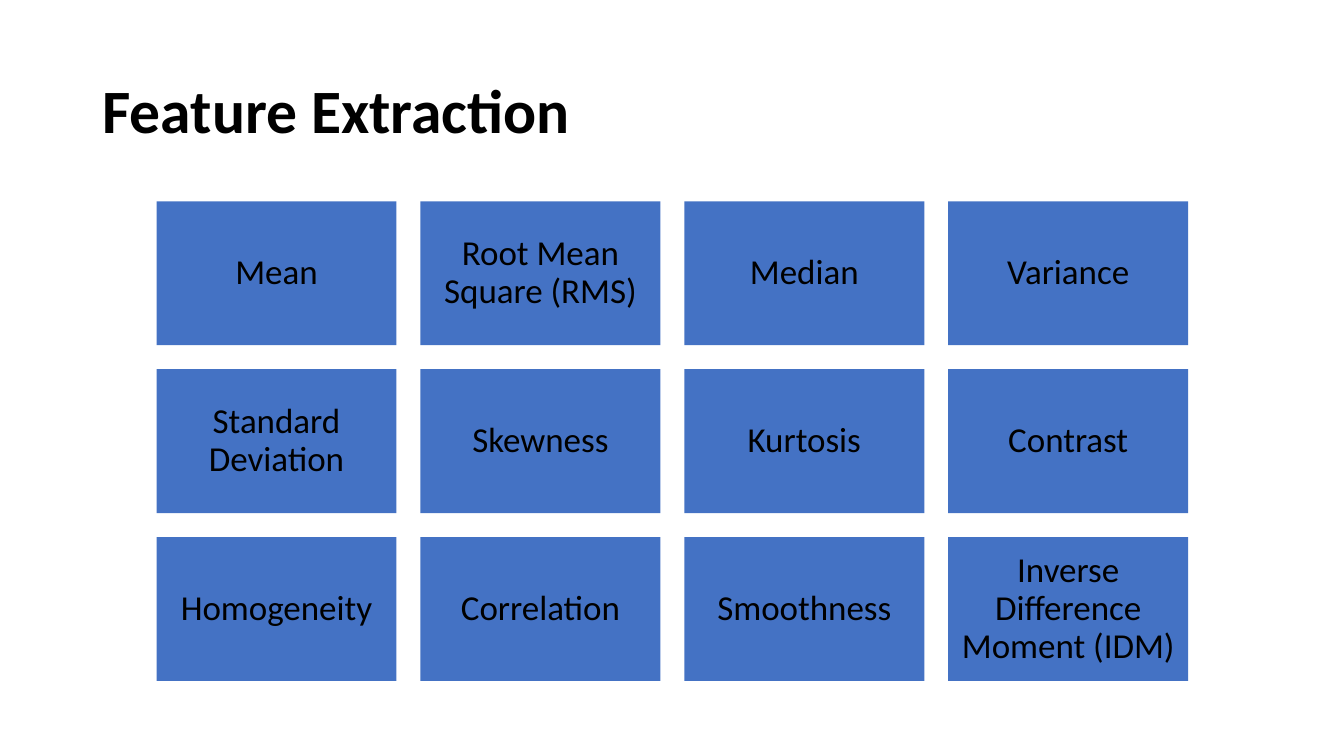
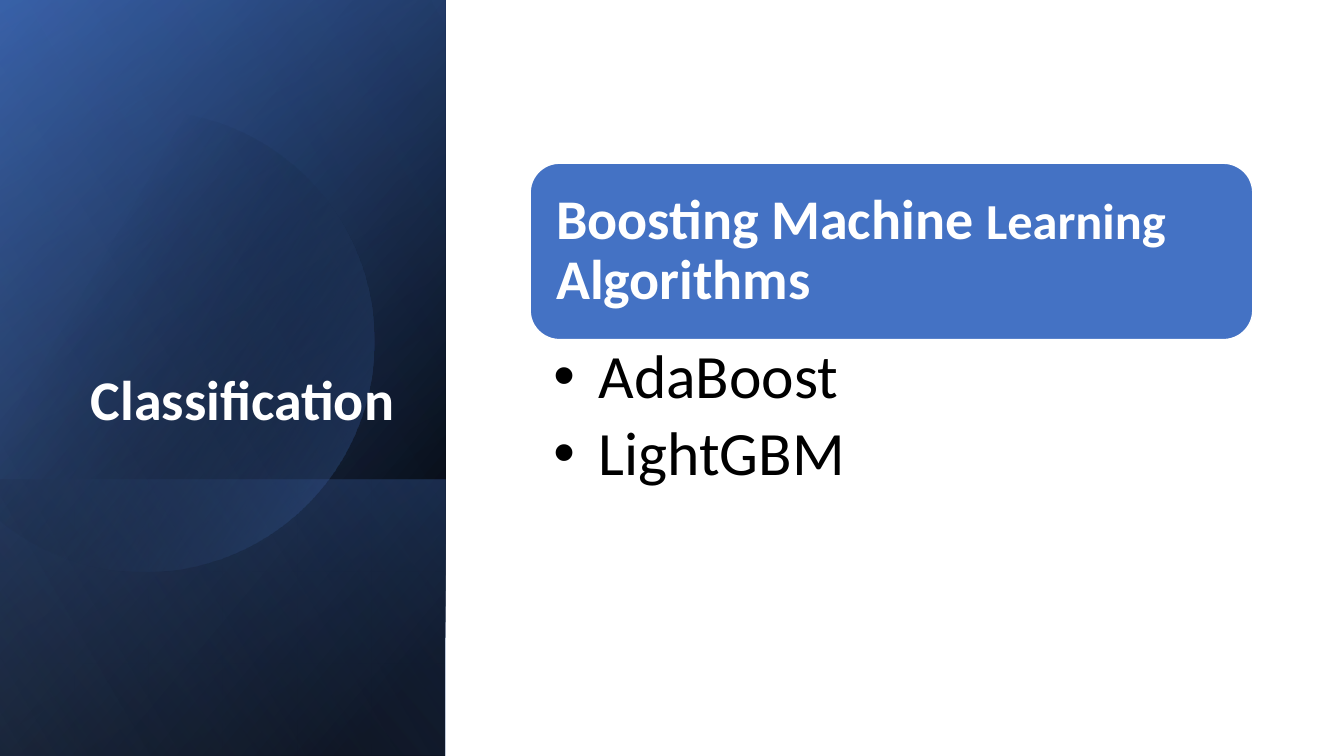
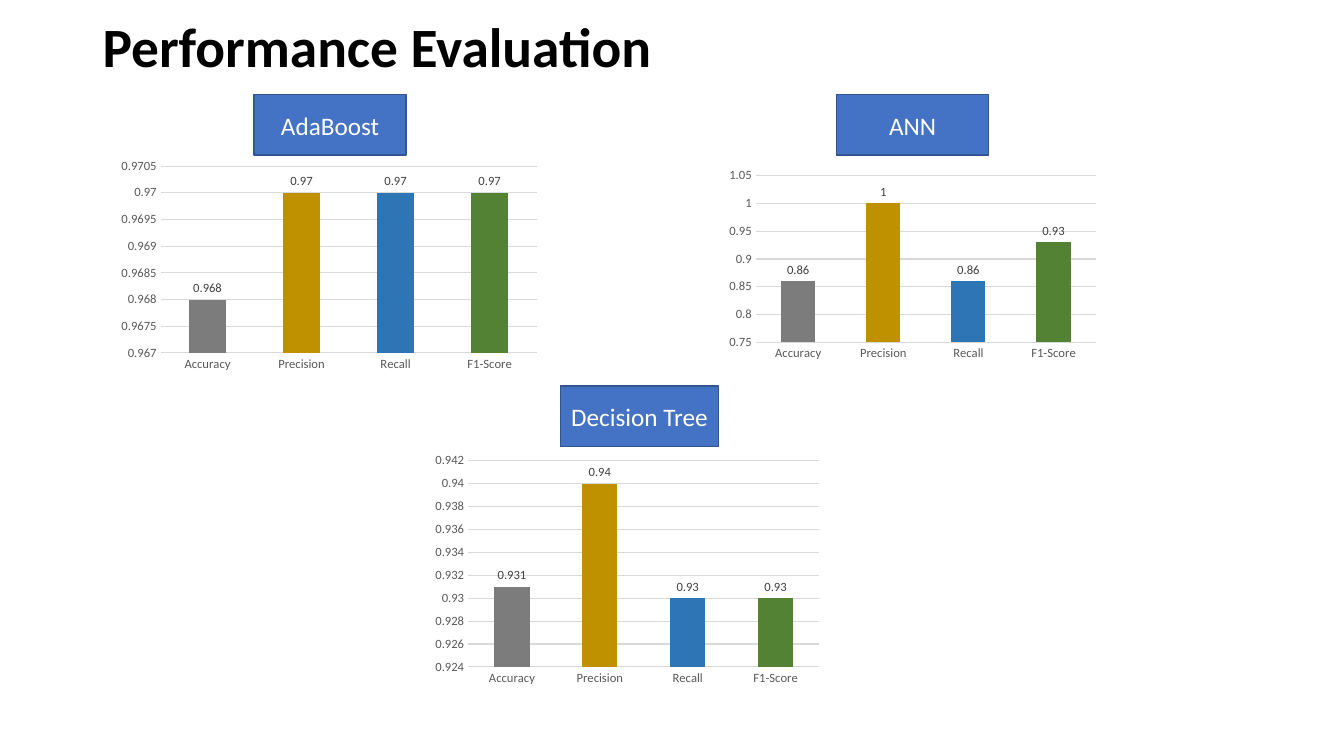
"""Build three slides on feature extraction, classification and evaluation."""
import math
from dataclasses import dataclass

from lxml import etree
from pptx import Presentation
from pptx.chart import data as chart_data
from pptx.dml import color
from pptx.enum import chart as charts, shapes, text
from pptx.oxml import ns
from pptx.util import Pt


@dataclass(frozen=True)
class Theme:
    font: str = "Calibri"
    black: str = "000000"
    white: str = "FFFFFF"
    blue: str = "4472C4"
    deep_blue: str = "2F5597"
    pale_blue: str = "8FAADC"
    outline: str = "325491"
    axis: str = "595959"
    grid: str = "D9D9D9"
    value: str = "404040"
    bars: tuple = ("7C7C7C", "BF9000", "2E75B6", "548235")
    title: float = 44
    compact_title: float = 39.6
    heading: float = 40
    small_heading: float = 36
    bullet: float = 44
    tile: float = 25
    label: float = 18
    chart: float = 10
    axis_size: float = 9


THEME = Theme()
FEATURES = (
    "Mean", "Root Mean Square (RMS)", "Median", "Variance",
    "Standard Deviation", "Skewness", "Kurtosis", "Contrast",
    "Homogeneity", "Correlation", "Smoothness", "Inverse Difference Moment (IDM)",
)
METRICS = ("Accuracy", "Precision", "Recall", "F1-Score")
MODELS = (
    ("AdaBoost", (181.4, 67.7, 108.7, 43.2), (80.6, 110.2, 308.9, 158.4),
     (0.968, 0.97, 0.97, 0.97), (0.967, 0.9705, 0.0005)),
    ("ANN", (597.6, 67.7, 108.7, 43.2), (515.5, 117.4, 272.9, 143.3),
     (0.86, 1, 0.86, 0.93), (0.75, 1.05, 0.05)),
    ("Decision Tree", (400.3, 275.8, 113, 43.2), (305.3, 320.4, 285.8, 172.8),
     (0.931, 0.94, 0.93, 0.93), (0.924, 0.942, 0.002)),
)


def rgb(value):
    return color.RGBColor.from_string(value)


def style_font(font, size, shade, bold=False):
    font.name, font.size, font.bold = THEME.font, Pt(size), bold
    font.color.rgb = rgb(shade)


def set_frame(box, anchor, margins=(7.2, 3.6)):
    frame = box.text_frame
    frame.word_wrap = True
    frame.vertical_anchor = anchor
    frame.margin_left = frame.margin_right = Pt(margins[0])
    frame.margin_top = frame.margin_bottom = Pt(margins[1])
    return frame


def write(para, spans, shade, align=text.PP_ALIGN.LEFT, bold=False, spacing=0.9):
    para.alignment, para.line_spacing = align, spacing
    for words, size in spans:
        span = para.add_run()
        span.text = words
        style_font(span.font, size, shade, bold)


def add_title(page, words, area, size, shade=THEME.black,
              anchor=text.MSO_ANCHOR.MIDDLE, align=text.PP_ALIGN.LEFT):
    box = page.shapes.add_textbox(*map(Pt, area))
    write(set_frame(box, anchor).paragraphs[0], [(words, size)], shade, align, bold=True)


def add_tile(page, area, fill=THEME.blue, line=None, kind=shapes.MSO_SHAPE.RECTANGLE):
    tile = page.shapes.add_shape(kind, *map(Pt, area))
    tile.shadow.inherit = False
    tile.fill.solid()
    tile.fill.fore_color.rgb = rgb(fill)
    if line:
        tile.line.color.rgb = rgb(line)
        tile.line.width = Pt(1)
    else:
        tile.line.fill.background()
    return tile


def fill_gradient(shape, stops, angle):
    """Fill with (position, colour, opacity) stops; the angle runs clockwise."""
    shape.fill.gradient()
    shape.fill.gradient_angle = 360 - angle
    for stop, (position, shade, _) in zip(shape.fill.gradient_stops, stops):
        stop.position = position / 100
        stop.color.rgb = rgb(shade)
    nodes = shape._element.spPr.iter(ns.qn("a:srgbClr"))
    for node, (_, _, opacity) in zip(nodes, stops):
        etree.SubElement(node, ns.qn("a:alpha"), val=str(opacity * 1000))


def add_gradient_panel(page, area, stops, angle):
    fill_gradient(add_tile(page, area), stops, angle)


def add_cut_disc(page, center_x, center_y, radius, stops, angle):
    """Draw a disc cut off by the left slide edge."""
    limit = math.acos(-center_x / radius)
    steps = 120
    turns = [limit * (2 * step / steps - 1) for step in range(steps + 1)]
    points = [(Pt(center_x + radius * math.cos(turn)),
               Pt(center_y + radius * math.sin(turn))) for turn in turns]
    builder = page.shapes.build_freeform(*points[0])
    builder.add_line_segments(points[1:], close=True)
    disc = builder.convert_to_shape()
    disc.shadow.inherit = False
    disc.line.fill.background()
    fill_gradient(disc, stops, angle)


def add_bullets(page, area, items):
    box = page.shapes.add_textbox(*map(Pt, area))
    frame = set_frame(box, text.MSO_ANCHOR.TOP, (16.6, 4.3))
    for index, item in enumerate(items):
        para = frame.add_paragraph() if index else frame.paragraphs[0]
        props = para._p.get_or_add_pPr()
        props.set("marL", str(Pt(32.2)))
        props.set("indent", str(-Pt(32.2)))
        etree.SubElement(props, ns.qn("a:buFont"), typeface="Arial")
        etree.SubElement(props, ns.qn("a:buChar"), char="•")
        para.space_after = Pt(7.5)
        write(para, [(item, THEME.bullet)], THEME.black)


def add_label(page, words, area):
    box = add_tile(page, area, line=THEME.outline)
    frame = set_frame(box, text.MSO_ANCHOR.MIDDLE, (3.6, 3.6))
    write(frame.paragraphs[0], [(words, THEME.label)], THEME.white,
          text.PP_ALIGN.CENTER, spacing=1.0)


def add_score_chart(page, area, scores, scale):
    data = chart_data.CategoryChartData()
    data.categories = METRICS
    data.add_series("Series 1", scores)
    chart = page.shapes.add_chart(
        charts.XL_CHART_TYPE.COLUMN_CLUSTERED, *map(Pt, area), data).chart
    chart.has_title = chart.has_legend = False
    style_font(chart.font, THEME.chart, THEME.black)
    for axis in (chart.category_axis, chart.value_axis):
        axis.major_tick_mark = axis.minor_tick_mark = charts.XL_TICK_MARK.NONE
        axis.format.line.fill.background()
        style_font(axis.tick_labels.font, THEME.axis_size, THEME.axis)
    values = chart.value_axis
    values.minimum_scale, values.maximum_scale, values.major_unit = scale
    values.has_major_gridlines = True
    grid = values.major_gridlines.format.line
    grid.color.rgb, grid.width = rgb(THEME.grid), Pt(0.75)
    plot = chart.plots[0]
    plot.gap_width, plot.vary_by_categories = 150, False
    plot.has_data_labels = True
    labels = plot.data_labels
    labels.show_value = True
    labels.position = charts.XL_LABEL_POSITION.OUTSIDE_END
    style_font(labels.font, THEME.axis_size, THEME.value)
    for index, shade in enumerate(THEME.bars):
        fill = plot.series[0].points[index].format.fill
        fill.solid()
        fill.fore_color.rgb = rgb(shade)


def build_features(page):
    add_title(page, "Feature Extraction", (66.2, 28.8, 828, 104.4), THEME.title)
    width, height, gap = 171.4, 102.8, 17.1
    for index, feature in enumerate(FEATURES):
        row, column = divmod(index, 4)
        area = (111.8 + column * (width + gap), 143.8 + row * (height + gap), width, height)
        frame = set_frame(add_tile(page, area), text.MSO_ANCHOR.MIDDLE, (7.2, 7.2))
        write(frame.paragraphs[0], [(feature, THEME.tile)], THEME.black, text.PP_ALIGN.CENTER)


def build_classification(page):
    side = (0, 0, 318.2, 540)
    foot = (0, 342.7, 318.2, 197.3)
    add_gradient_panel(page, side, [(8, THEME.black, 100), (100, THEME.deep_blue, 100)], 220)
    add_gradient_panel(page, side, [(0, THEME.black, 0), (99, THEME.blue, 46)], 240)
    add_gradient_panel(page, foot, [(2, THEME.blue, 29), (100, THEME.black, 30)], 140)
    add_cut_disc(page, 103, 243.4, 164.5, [(29, THEME.black, 0), (100, THEME.blue, 43)], 30)
    add_gradient_panel(page, side, [(0, THEME.black, 0), (99, THEME.pale_blue, 11)], 150)
    add_title(page, "Classification", (36.7, 46.1, 252, 266.4), THEME.heading,
              THEME.white, text.MSO_ANCHOR.BOTTOM, text.PP_ALIGN.RIGHT)
    banner = add_tile(page, (378.7, 116.6, 516.2, 126), line=THEME.white,
                      kind=shapes.MSO_SHAPE.ROUNDED_RECTANGLE)
    frame = set_frame(banner, text.MSO_ANCHOR.MIDDLE, (12.6, 7.2))
    write(frame.paragraphs[0],
          [("Boosting Machine ", THEME.heading), ("Learning", THEME.small_heading),
           (" Algorithms", THEME.heading)], THEME.white, bold=True)
    add_bullets(page, (378.7, 242.6, 516.2, 180), ("AdaBoost", "LightGBM"))


def build_evaluation(page):
    add_title(page, "Performance Evaluation", (66.2, 9.4, 828, 51.8), THEME.compact_title)
    for name, label_area, chart_area, scores, scale in MODELS:
        add_label(page, name, label_area)
        add_score_chart(page, chart_area, scores, scale)


def main():
    deck = Presentation()
    deck.slide_width, deck.slide_height = Pt(960), Pt(540)
    for build in (build_features, build_classification, build_evaluation):
        build(deck.slides.add_slide(deck.slide_layouts[6]))
    deck.save("out.pptx")


if __name__ == "__main__":
    main()
